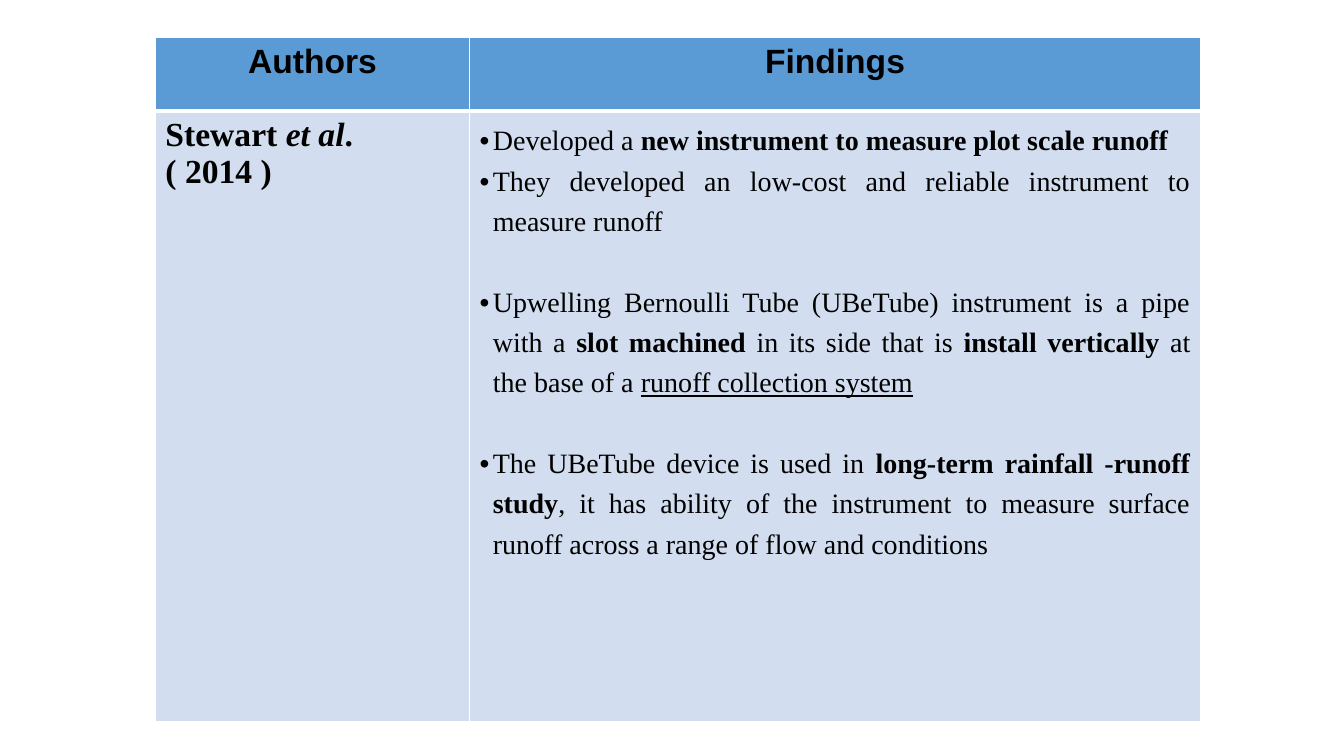
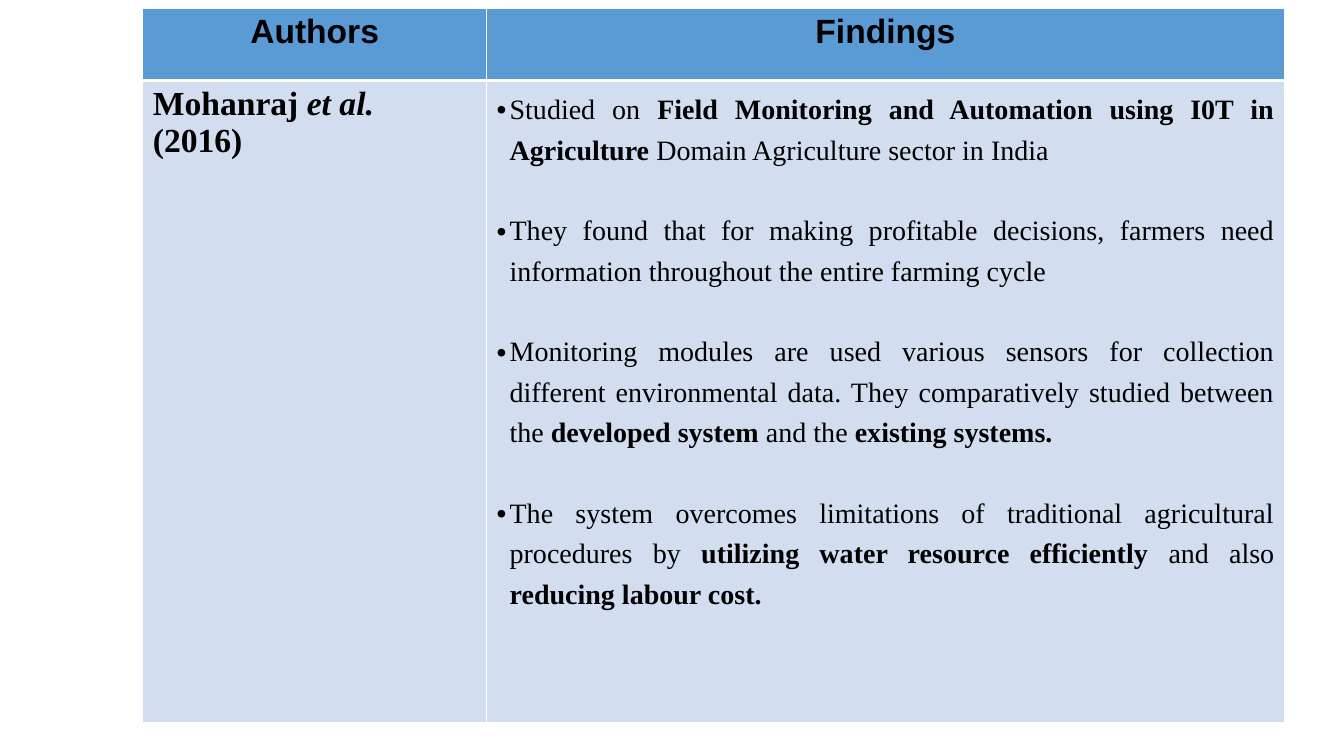
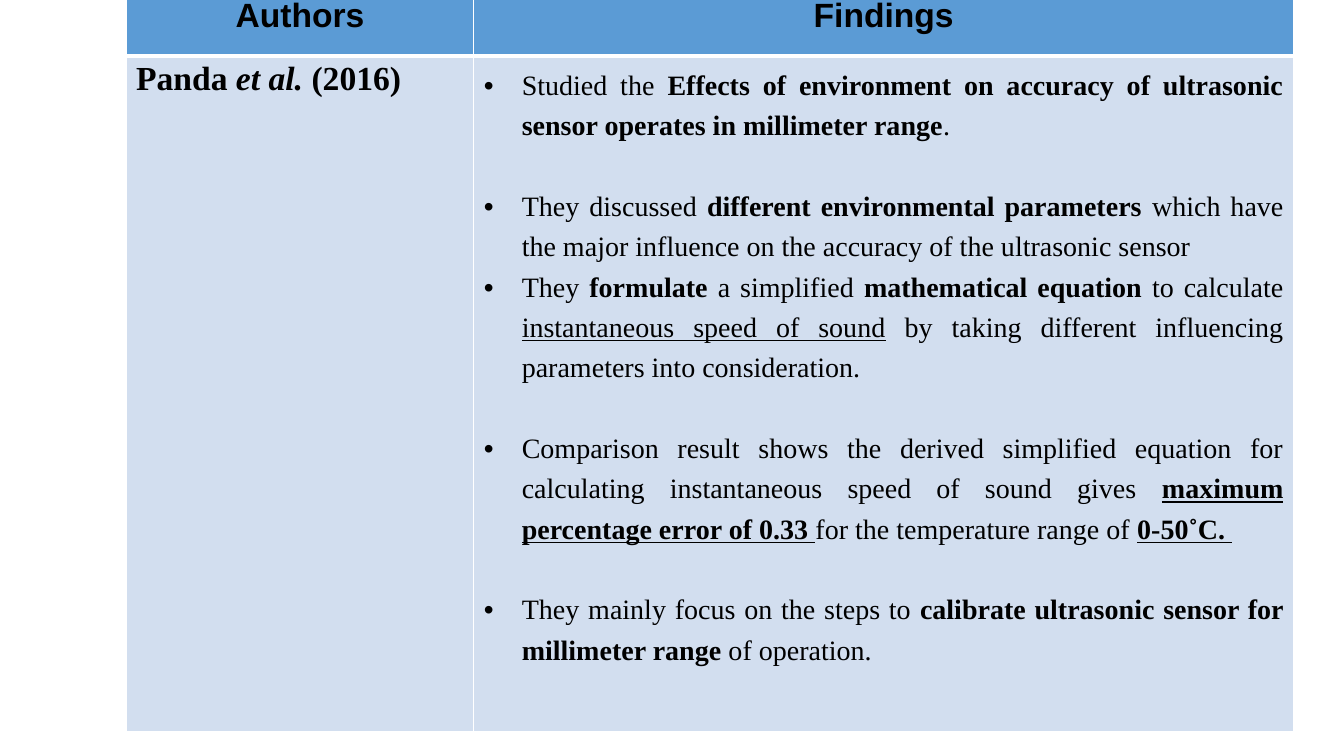
from lxml import etree
from pptx import Presentation
from pptx import util as u
from pptx.dml.color import RGBColor
from pptx.enum import text
from pptx.oxml import ns

HEADER_BLUE = RGBColor(0x5B, 0x9B, 0xD5)
BODY_BLUE = RGBColor(0xD2, 0xDE, 0xEF)
WHITE = RGBColor(0xFF, 0xFF, 0xFF)
BLACK = RGBColor(0, 0, 0)
HEAD_FONT, BODY_FONT = "Arial", "Times New Roman"
HEAD_SIZE, BODY_SIZE = 24, 20
LINE_SPACING = 1.3
BLANK_LINE = 28.8
THIN, THICK = 1, 3

# A run is (text, style); style letters: b bold, i italic, u underline.
# A finding is (space before, runs).
STUDIES = [
    dict(
        at=(111, 27), cols=(224.5, 522), rows=(52.5, 436), indent=9.36,
        authors=[[("Stewart ", "b"), ("et al", "bi"), (".", "b")],
                 [("( 2014 )", "b")]],
        findings=[
            (0, [("Developed a ", ""),
                 ("new instrument to measure plot scale runoff", "b")]),
            (0, [("They developed an low-cost and reliable instrument to "
                  "measure runoff", "")]),
            (BLANK_LINE, [
                ("Upwelling Bernoulli Tube (UBeTube) instrument is a pipe "
                 "with a ", ""),
                ("slot machined ", "b"), ("in its side that is ", ""),
                ("install vertically ", "b"), ("at the base of a ", ""),
                ("runoff collection system", "u")]),
            (BLANK_LINE, [
                ("The UBeTube device is used in ", ""),
                ("long-term rainfall -runoff study", "b"),
                (", it has ability of the instrument to measure surface "
                 "runoff across a range of flow and conditions", "")]),
        ]),
    dict(
        at=(102, 6), cols=(245.5, 570), rows=(51.5, 458.5), indent=9.36,
        authors=[[("Mohanraj ", "b"), ("et al.", "bi")], [("(2016)", "b")]],
        findings=[
            (0, [("Studied on ", ""),
                 ("Field Monitoring and Automation using I0T in "
                  "Agriculture", "b"),
                 (" Domain Agriculture sector in India", "")]),
            (BLANK_LINE, [
                ("They found that for making profitable decisions, farmers "
                 "need information throughout the entire farming cycle", "")]),
            (BLANK_LINE, [
                ("Monitoring modules are used various sensors for collection "
                 "different environmental data. They comparatively studied "
                 "between the ", ""),
                ("developed system ", "b"), ("and the ", ""),
                ("existing systems.", "b")]),
            (BLANK_LINE, [
                ("The system overcomes limitations of traditional "
                 "agricultural procedures by ", ""),
                ("utilizing water resource efficiently ", "b"),
                ("and also ", ""), ("reducing labour cost.", "b")]),
        ]),
    dict(
        at=(90, -6), cols=(248.5, 585.5), rows=(46, 482.5), indent=27,
        authors=[[("Panda ", "b"), ("et al. ", "bi"), ("(2016)", "b")]],
        findings=[
            (0, [("Studied the ", ""),
                 ("Effects of environment on accuracy of ultrasonic sensor "
                  "operates in millimeter range", "b"), (".", "")]),
            (BLANK_LINE, [
                ("They discussed ", ""),
                ("different environmental parameters ", "b"),
                ("which have the major influence on the accuracy of the "
                 "ultrasonic sensor", "")]),
            (0, [("They ", ""), ("formulate", "b"), (" a simplified ", ""),
                 ("mathematical equation", "b"), (" to calculate ", ""),
                 ("instantaneous speed of sound", "u"),
                 (" by taking different influencing parameters into "
                  "consideration.", "")]),
            (BLANK_LINE, [
                ("Comparison result shows the derived simplified equation "
                 "for calculating instantaneous speed of sound gives ", ""),
                ("maximum percentage error of 0.33 ", "bu"),
                ("for the temperature range of ", ""),
                ("0-50˚C. ", "bu")]),
            (BLANK_LINE, [
                ("They mainly focus on the steps to ", ""),
                ("calibrate ultrasonic sensor for millimeter range ", "b"),
                ("of operation.", "")]),
        ]),
]


def add_runs(p, runs, font, size):
    for words, style in runs:
        r = p.add_run()
        r.text = words
        r.font.name = font
        r.font.size = u.Pt(size)
        r.font.color.rgb = BLACK
        r.font.bold = "b" in style
        r.font.italic = "i" in style
        r.font.underline = "u" in style


def add_paragraphs(tf, count):
    """Return count paragraphs, the first being the one already there."""
    return [tf.paragraphs[0]] + [tf.add_paragraph() for _ in range(count - 1)]


def set_bullet(p, indent):
    pPr = p._p.get_or_add_pPr()
    pPr.set("marL", str(u.Pt(indent)))
    pPr.set("indent", str(-u.Pt(indent)))
    etree.SubElement(pPr, ns.qn("a:buFont"), typeface="Arial")
    etree.SubElement(pPr, ns.qn("a:buChar"), char="•")


def style_cell(cell, fill, top, bottom):
    """Fill the cell and give it white borders, with these top and bottom widths."""
    tcPr = cell._tc.get_or_add_tcPr()
    for side, width in (("L", THIN), ("R", THIN), ("T", top), ("B", bottom)):
        ln = etree.SubElement(tcPr, ns.qn("a:ln" + side), w=str(u.Pt(width)))
        solid = etree.SubElement(ln, ns.qn("a:solidFill"))
        etree.SubElement(solid, ns.qn("a:srgbClr"), val=str(WHITE))
    cell.fill.solid()
    cell.fill.fore_color.rgb = fill


def fill_header(cell, title):
    style_cell(cell, HEADER_BLUE, THIN, THICK)
    p = cell.text_frame.paragraphs[0]
    p.alignment = text.PP_ALIGN.CENTER
    add_runs(p, [(title, "b")], HEAD_FONT, HEAD_SIZE)


def fill_authors(cell, lines):
    style_cell(cell, BODY_BLUE, THICK, THIN)
    for p, runs in zip(add_paragraphs(cell.text_frame, len(lines)), lines):
        add_runs(p, runs, BODY_FONT, HEAD_SIZE)


def fill_findings(cell, findings, indent):
    style_cell(cell, BODY_BLUE, THICK, THIN)
    paragraphs = add_paragraphs(cell.text_frame, len(findings))
    for p, (gap, runs) in zip(paragraphs, findings):
        p.alignment = text.PP_ALIGN.JUSTIFY
        p.line_spacing = LINE_SPACING
        p.space_before = u.Pt(gap)
        set_bullet(p, indent)
        add_runs(p, runs, BODY_FONT, BODY_SIZE)


def add_study_slide(prs, study):
    s = prs.slides.add_slide(prs.slide_layouts[6])
    cols, rows = study["cols"], study["rows"]
    box = (*study["at"], sum(cols), sum(rows))
    table = s.shapes.add_table(2, 2, *map(u.Pt, box)).table
    table.first_row = table.horz_banding = False
    for column, width in zip(table.columns, cols):
        column.width = u.Pt(width)
    for row, height in zip(table.rows, rows):
        row.height = u.Pt(height)
    for i, title in enumerate(("Authors", "Findings")):
        fill_header(table.cell(0, i), title)
    fill_authors(table.cell(1, 0), study["authors"])
    fill_findings(table.cell(1, 1), study["findings"], study["indent"])


def main():
    prs = Presentation()
    prs.slide_width, prs.slide_height = u.Pt(960), u.Pt(540)
    for study in STUDIES:
        add_study_slide(prs, study)
    prs.save("out.pptx")


if __name__ == "__main__":
    main()
